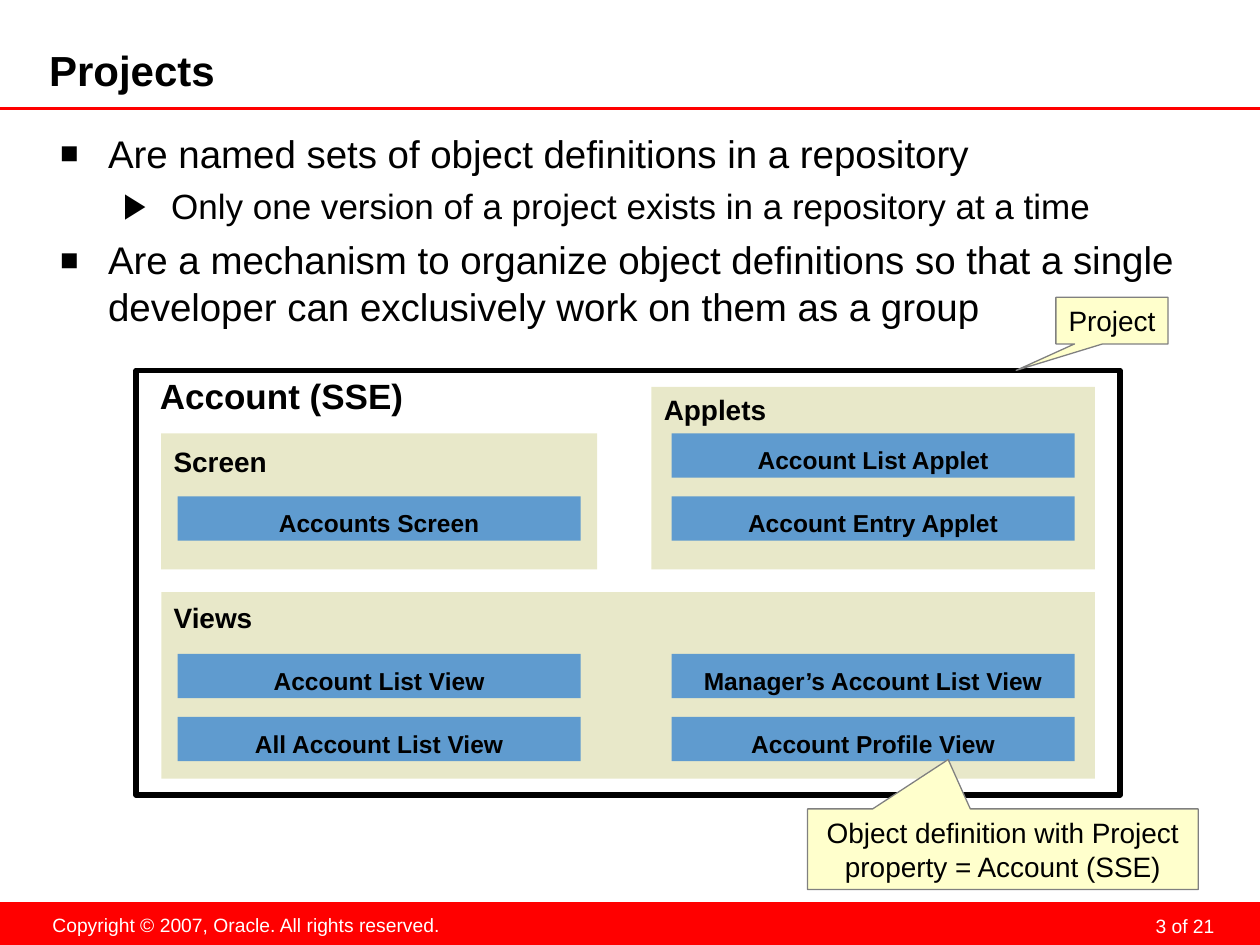
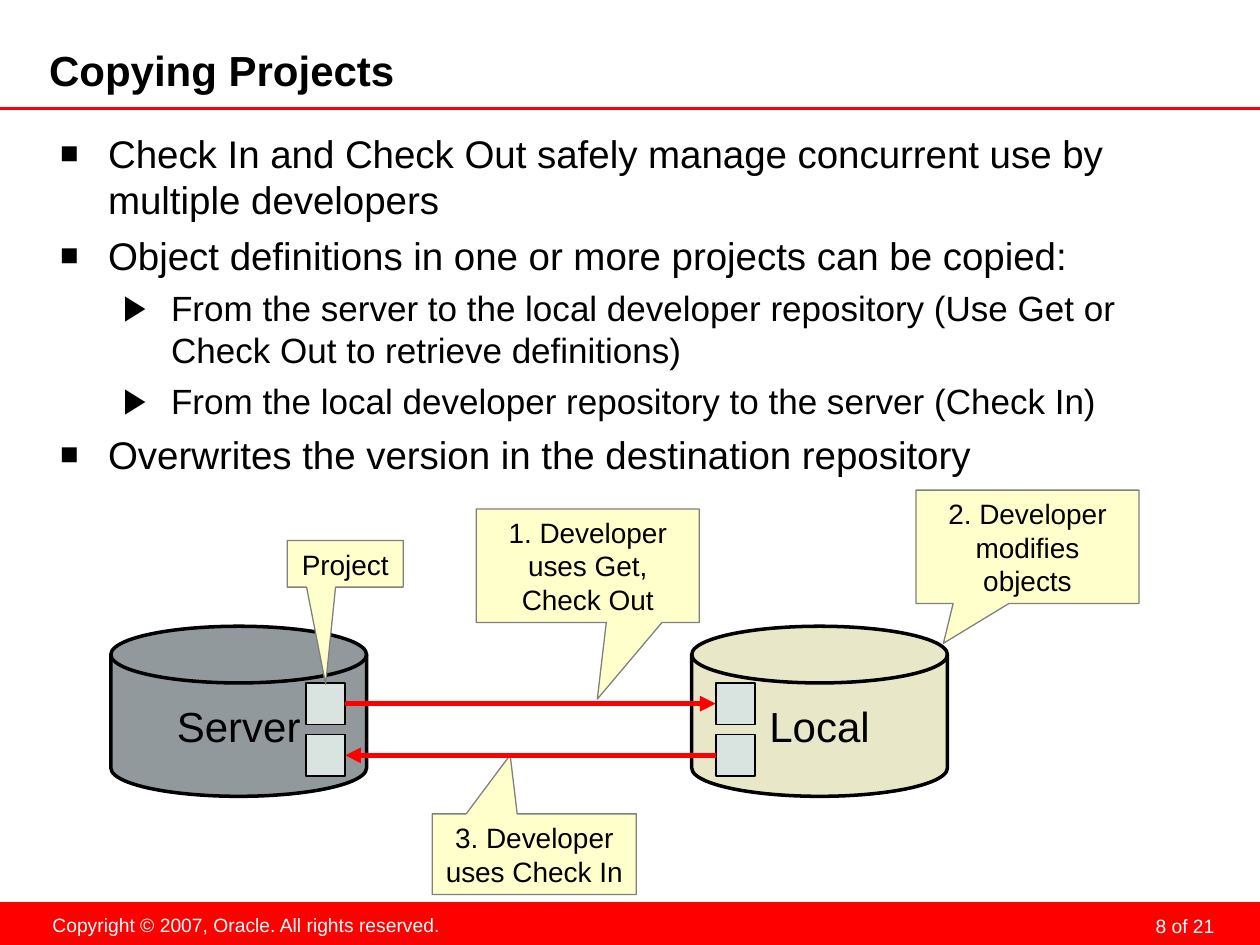
from lxml.etree import SubElement
from pptx import Presentation
from pptx.dml.color import RGBColor
from pptx.enum.shapes import MSO_CONNECTOR as LINK, MSO_SHAPE as FORM
from pptx.enum.text import MSO_ANCHOR as ANCHOR, PP_ALIGN as ALIGN
from pptx.oxml.ns import qn
from pptx.util import Inches, Pt

COLORS = {
    "red": "FF0000", "black": "000000", "white": "FFFFFF", "gray": "808080",
    "sand": "E8E8C9", "blue": "5F9BCF", "note": "FFFFCC",
    "steel": "92999D", "chip": "D9E3E0",
}
FONT = "Arial"
PAGES = 21
COLS, ROWS = 100, 75  # slide grid; one cell is 0.1 inch square
PAD = (0.1, 0.05, 0.1, 0.05)

# Bullet levels: symbol, symbol size %, text size, indent, space before
LEVELS = [("■", 80, 22, 0.38, 5.5), ("▶", 100, 20, 0.88, 5)]
HANG = 0.38

# Object definitions on the Projects slide: item columns and rows
ITEM_LEFT, ITEM_TOP = 14.1, 34.4
ITEM_COL_STEP, ITEM_ROW_STEP = 39.2, 5
ITEM_SIZE = (32, 3.5)


def color(name):
    return RGBColor.from_string(COLORS[name])


def cells(*counts):
    return [Inches(count / 10) for count in counts]


def style(paragraph, size, ink="black", bold=False):
    font = paragraph.font
    font.name, font.size, font.bold = FONT, Pt(size), bold
    font.color.rgb = color(ink)


def set_frame(frame, insets=PAD, anchor=ANCHOR.TOP, wrap=True):
    frame.word_wrap = wrap
    frame.vertical_anchor = anchor
    (frame.margin_left, frame.margin_top,
     frame.margin_right, frame.margin_bottom) = map(Inches, insets)


def write(shape, text, size, ink="black", bold=False, align=ALIGN.LEFT,
          spacing=None, **frame_options):
    set_frame(shape.text_frame, **frame_options)
    paragraph = shape.text_frame.paragraphs[0]
    paragraph.text = text
    paragraph.alignment = align
    if spacing:
        paragraph.line_spacing = Pt(spacing)
    style(paragraph, size, ink, bold)


def label(slide, area, text, size, **options):
    write(slide.shapes.add_textbox(*cells(*area)), text, size, **options)


def block(slide, area, fill=None, outline=None, width=1, form=FORM.RECTANGLE):
    shape = slide.shapes.add_shape(form, *cells(*area))
    shape.shadow.inherit = False
    if fill:
        shape.fill.solid()
        shape.fill.fore_color.rgb = color(fill)
    else:
        shape.fill.background()
    if outline:
        shape.line.color.rgb = color(outline)
        shape.line.width = Pt(width)
    else:
        shape.line.fill.background()
    return shape


def red_line(slide, start, end, width):
    line = slide.shapes.add_connector(LINK.STRAIGHT, *cells(*start, *end))
    line.line.color.rgb = color("red")
    line.line.width = Pt(width)
    SubElement(line.element.spPr, qn("a:effectLst"))
    return line


def arrow(slide, source, source_side, target, target_side):
    line = red_line(slide, (0, 0), (1, 1), 3)
    line.begin_connect(source, source_side)
    line.end_connect(target, target_side)
    outline = line.element.spPr.find(qn("a:ln"))
    SubElement(outline, qn("a:tailEnd"), type="triangle")


def callout(slide, area, tip, text):
    left, top, width, height = area
    note = block(slide, area, "note", "gray", 0.75, FORM.RECTANGULAR_CALLOUT)
    note.adjustments[0] = (tip[0] - left) / width - 0.5
    note.adjustments[1] = (tip[1] - top) / height - 0.5
    write(note, text, 16, align=ALIGN.CENTER, anchor=ANCHOR.MIDDLE,
          wrap=" " in text)


def add_bullet(paragraph, symbol, percent, indent):
    props = paragraph._p.get_or_add_pPr()
    props.set("marL", str(Inches(indent)))
    props.set("indent", str(-Inches(HANG)))
    ink = SubElement(props, qn("a:buClr"))
    SubElement(ink, qn("a:srgbClr"), val=COLORS["black"])
    SubElement(props, qn("a:buSzPct"), val=str(percent * 1000))
    SubElement(props, qn("a:buFont"), typeface=FONT)
    SubElement(props, qn("a:buChar"), char=symbol)


def bullets(slide, points):
    body = slide.shapes.add_textbox(*cells(3.8, 9.3, 93, 61.8)).text_frame
    set_frame(body, insets=(0.1, 0.1, 0.1, 0.05))
    for index, (level, text) in enumerate(points):
        paragraph = body.add_paragraph() if index else body.paragraphs[0]
        symbol, percent, size, indent, before = LEVELS[level]
        paragraph.text = text
        paragraph.level = level
        add_bullet(paragraph, symbol, percent, indent)
        paragraph.space_before = Pt(before if index else 0)
        style(paragraph, size)


def start_slide(deck, title, page, points):
    slide = deck.slides.add_slide(deck.slide_layouts[6])
    # Footer band
    block(slide, (0, 71.6, COLS, ROWS - 71.6), "red")
    label(slide, (73.6, 71.9, 23.3, 2.5), f"{page} of {PAGES}", 11,
          ink="white", align=ALIGN.RIGHT, spacing=18, insets=(0.05, 0, 0.05, 0))
    label(slide, (3.1, 72, 32.9, 2.9),
          "Copyright © 2007, Oracle. All rights reserved.", 11,
          ink="white", align=ALIGN.CENTER, wrap=False)
    # Title and rule
    red_line(slide, (0, 8.6), (COLS, 8.6), 1.75)
    label(slide, (3.9, 3.8, 78.7, 4), title, 24, bold=True,
          anchor=ANCHOR.MIDDLE, insets=(0, 0, 0.05, 0.05))
    bullets(slide, points)
    return slide


def panel(slide, area, heading, drop):
    block(slide, area, "sand")
    left, top, width, _ = area
    label(slide, (left, top + drop, width, 3.7), heading, 16, bold=True)


def item(slide, col, row, text):
    place = (ITEM_LEFT + col * ITEM_COL_STEP, ITEM_TOP + row * ITEM_ROW_STEP)
    write(block(slide, place + ITEM_SIZE, "blue"), text, 14, bold=True,
          align=ALIGN.CENTER, spacing=18, anchor=ANCHOR.MIDDLE, wrap=False,
          insets=(0.05, 0.1, 0.05, 0.05))


def database(slide, left, fill, name):
    disk = block(slide, (left, 49.7, 20.3, 13.5), fill, "black", 2,
                 FORM.FLOWCHART_MAGNETIC_DISK)
    write(disk, name, 24, align=ALIGN.CENTER, anchor=ANCHOR.MIDDLE, wrap=False)


def project_chips(slide, left):
    return [block(slide, (left, top, 3.1, 3.3), "chip", "black")
            for top in (54.2, 58.3)]


def projects_slide(deck):
    slide = start_slide(deck, "Projects", 3, [
        (0, "Are named sets of object definitions in a repository"),
        (1, "Only one version of a project exists in a repository at a time"),
        (0, "Are a mechanism to organize object definitions so that a single "
            "developer can exclusively work on them as a group"),
    ])
    # Project frame and its panels
    block(slide, (10.8, 29.4, 78.1, 33.7), outline="black", width=3)
    label(slide, (11.7, 29.2, 27.5, 4.4), "Account (SSE)", 20, bold=True)
    panel(slide, (12.8, 34.4, 34.6, 10.8), "Screen", 0.4)
    panel(slide, (51.7, 30.7, 35.2, 14.5), "Applets", 0)
    panel(slide, (12.8, 47, 74.1, 14.8), "Views", 0.2)
    # Object definitions
    for col, row, text in [
        (0, 1, "Accounts Screen"),
        (1, 0, "Account List Applet"),
        (1, 1, "Account Entry Applet"),
        (0, 3.5, "Account List View"),
        (0, 4.5, "All Account List View"),
        (1, 3.5, "Manager’s Account List View"),
        (1, 4.5, "Account Profile View"),
    ]:
        item(slide, col, row, text)
    callout(slide, (83.8, 23.6, 8.9, 3.7), (80.65, 29.4), "Project")
    callout(slide, (64.1, 64.2, 31, 6.4), (75.26, 60.28),
            "Object definition with Project property = Account (SSE)")


def copying_slide(deck):
    slide = start_slide(deck, "Copying Projects", 8, [
        (0, "Check In and Check Out safely manage concurrent use by "
            "multiple developers"),
        (0, "Object definitions in one or more projects can be copied:"),
        (1, "From the server to the local developer repository (Use Get or "
            "Check Out to retrieve definitions)"),
        (1, "From the local developer repository to the server (Check In)"),
        (0, "Overwrites the version in the destination repository"),
    ])
    # Repositories and the projects in them
    database(slide, 8.8, "steel", "Server")
    database(slide, 54.9, "sand", "Local")
    server_out, server_in = project_chips(slide, 24.3)
    local_in, local_out = project_chips(slide, 56.8)
    # Steps
    callout(slide, (22.8, 42.9, 9.2, 3.7), (25.85, 54.3), "Project")
    callout(slide, (37.8, 40.4, 17.7, 9), (47.41, 55.49),
            "1. Developer uses Get, Check Out")
    callout(slide, (72.7, 38.9, 17.7, 9), (74.88, 51.06),
            "2. Developer modifies objects")
    callout(slide, (34.3, 64.6, 16.2, 6.4), (40.49, 59.92),
            "3. Developer uses Check In")
    arrow(slide, server_out, 3, local_in, 1)
    arrow(slide, local_out, 1, server_in, 3)


def main():
    deck = Presentation()
    deck.slide_width, deck.slide_height = cells(COLS, ROWS)
    projects_slide(deck)
    copying_slide(deck)
    deck.save("out.pptx")


if __name__ == "__main__":
    main()
